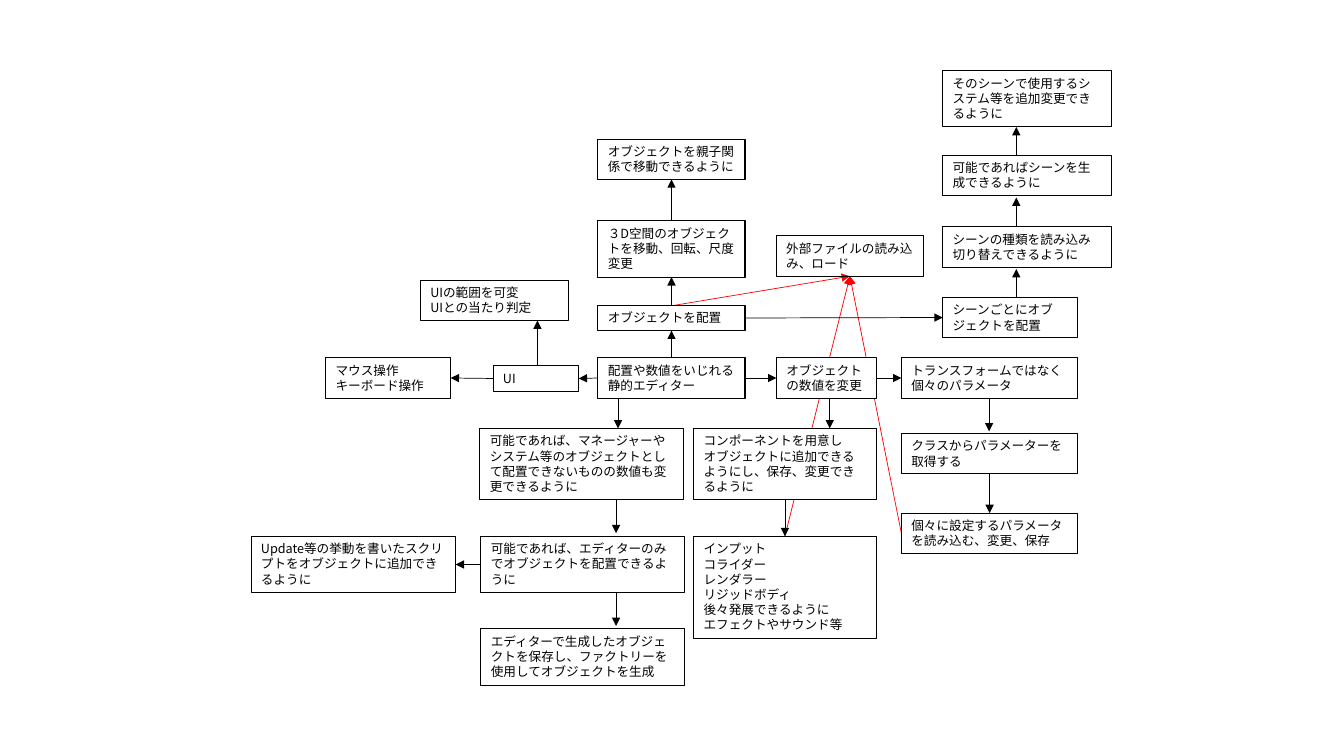
"""Build a slide mapping the feature plan of a static object editor."""
import pptx
import pptx.util
import pptx.dml.color
import pptx.enum.dml
import pptx.enum.shapes
import pptx.enum.text
import pptx.oxml
import pptx.oxml.ns

Inches = pptx.util.Inches
FONT = "Noto Sans CJK JP"
COLORS = {"ink": "000000", "paper": "FFFFFF", "load": "FF0000"}
TOP, LEFT, BOTTOM, RIGHT = range(4)
LINE_HEIGHT = {1: 0.25, 2: 0.4, 3: 0.56, 4: 0.71, 6: 1.01}

# name: (left, top, width, lines, text)
BOXES = {
    "editor": (5.93, 3.55, 1.46, 2, "配置や数値をいじれる\v静的エディター"),
    "place": (5.93, 3.03, 1.46, 1, "オブジェクトを配置"),
    "values": (7.7, 3.55, 0.99, 2, "オブジェクトの数値を変更"),
    "ui": (4.89, 3.63, 0.85, 1, "UI"),
    "move": (5.93, 2.19, 1.46, 3, "３D空間のオブジェクトを移動、回転、尺度変更"),
    "own values": (8.94, 3.55, 1.75, 2, "トランスフォームではなく個々のパラメータ"),
    "class values": (8.94, 4.3, 1.75, 2, "クラスからパラメーターを取得する"),
    "set values": (8.94, 5.09, 1.75, 2, "個々に設定するパラメータを読み込む、変更、保存"),
    "family": (5.93, 1.38, 1.46, 2, "オブジェクトを親子関係で移動できるように"),
    "components": (6.88, 4.25, 1.81, 4, "コンポーネントを用意し\nオブジェクトに追加できるようにし、保存、変更できるように"),
    "kinds": (6.88, 5.32, 1.81, 6, "インプット\nコライダー\nレンダラー\nリジッドボディ\n後々発展できるように\nエフェクトやサウンド等"),
    "file": (7.7, 2.34, 1.46, 2, "外部ファイルの読み込み、ロード"),
    "managers": (4.76, 4.25, 2.02, 4, "可能であれば、マネージャーやシステム等のオブジェクトとして配置できないものの数値も変更できるように"),
    "scripts": (2.49, 5.32, 2.03, 3, "Update等の挙動を書いたスクリプトをオブジェクトに追加できるように"),
    "editor only": (4.77, 5.32, 2.02, 3, "可能であれば、エディターのみでオブジェクトを配置できるように"),
    "factory": (4.77, 6.24, 2.02, 3, "エディターで生成したオブジェクトを保存し、ファクトリーを使用してオブジェクトを生成"),
    "input": (3.23, 3.55, 1.24, 2, "マウス操作\nキーボード操作"),
    "ui area": (4.17, 2.78, 1.47, 2, "UIの範囲を可変\nUIとの当たり判定"),
    "scene objects": (9.35, 2.95, 1.34, 2, "シーンごとにオブジェクトを配置"),
    "scene switch": (9.35, 2.25, 1.67, 2, "シーンの種類を読み込み切り替えできるように"),
    "scene create": (9.35, 1.54, 1.67, 2, "可能であればシーンを生成できるように"),
    "scene systems": (9.35, 0.7, 1.67, 3, "そのシーンで使用するシステム等を追加変更できるように"),
}
UNFILLED = {"editor", "family", "file"}

CENTRED_ARROWS = [
    ("editor", TOP, "place", BOTTOM),
    ("place", TOP, "move", BOTTOM),
    ("move", TOP, "family", BOTTOM),
    ("editor", RIGHT, "values", LEFT),
    ("values", RIGHT, "own values", LEFT),
    ("class values", BOTTOM, "set values", TOP),
    ("components", BOTTOM, "kinds", TOP),
    ("editor", LEFT, "ui", RIGHT),
    ("ui", LEFT, "input", RIGHT),
    ("editor only", LEFT, "scripts", RIGHT),
    ("place", RIGHT, "scene objects", LEFT),
]
# (start, end, x, gap before the end box)
UPRIGHT_ARROWS = [
    ("values", "components", 8.23, 0),
    ("own values", "class values", 9.81, 0.02),
    ("editor", "managers", 6.13, 0),
    ("managers", "editor only", 6.11, 0.03),
    ("editor only", "factory", 6.11, 0.03),
    ("ui", "ui area", 5.33, 0),
    ("scene objects", "scene switch", 10.08, 0.02),
    ("scene switch", "scene create", 10.08, 0.02),
    ("scene create", "scene systems", 10.08, 0),
]
LOAD_ARROWS = [("place", LEFT), ("kinds", TOP), ("set values", LEFT)]


def rgb(name):
    return pptx.dml.color.RGBColor.from_string(COLORS[name])


def add_box(page, name):
    left, top, width, lines, text = BOXES[name]
    box = page.shapes.add_shape(
        pptx.enum.shapes.MSO_SHAPE.RECTANGLE,
        Inches(left), Inches(top), Inches(width), Inches(LINE_HEIGHT[lines]))
    box.shadow.inherit = False
    if name in UNFILLED:
        box.fill.background()
    else:
        box.fill.solid()
        box.fill.fore_color.rgb = rgb("paper")
    box.line.color.rgb = rgb("ink")
    box.line.width = pptx.util.Pt(0.75)
    frame = box.text_frame
    frame.text = text
    frame.word_wrap = True
    frame.auto_size = pptx.enum.text.MSO_AUTO_SIZE.SHAPE_TO_FIT_TEXT
    frame.vertical_anchor = pptx.enum.text.MSO_ANCHOR.TOP
    for para in frame.paragraphs:
        para.alignment = pptx.enum.text.PP_ALIGN.LEFT
        for span in para.runs:
            span.font.size = pptx.util.Pt(9)
            span.font.name = FONT
            span.font.color.rgb = rgb("ink")
            east_asian = pptx.oxml.parse_xml(
                f'<a:ea {pptx.oxml.ns.nsdecls("a")} typeface="{FONT}"/>')
            span.font._element.find(pptx.oxml.ns.qn("a:latin")).addnext(east_asian)
    return box


def add_arrow(page, color, start=(0, 0), end=(0, 0)):
    arrow = page.shapes.add_connector(
        pptx.enum.shapes.MSO_CONNECTOR.STRAIGHT, *start, *end)
    arrow.line.color.rgb = rgb(color)
    arrow.line.width = pptx.util.Pt(0.5)
    namespace = pptx.oxml.ns.nsdecls("a")
    arrow.line._get_or_add_ln().append(
        pptx.oxml.parse_xml(f'<a:tailEnd {namespace} type="triangle"/>'))
    arrow._element.spPr.append(pptx.oxml.parse_xml(f"<a:effectLst {namespace}/>"))
    return arrow


def add_joined_arrow(page, color, start, start_side, end, end_side):
    arrow = add_arrow(page, color)
    arrow.begin_connect(start, start_side)
    arrow.end_connect(end, end_side)
    return arrow


def add_upright_arrow(page, start, end, x, gap):
    if end.top > start.top:
        begin_y, end_y = start.top + start.height, end.top - Inches(gap)
    else:
        begin_y, end_y = start.top, end.top + end.height + Inches(gap)
    add_arrow(page, "ink", (Inches(x), begin_y), (Inches(x), end_y))


def main():
    deck = pptx.Presentation()
    deck.slide_width, deck.slide_height = Inches(13.33), Inches(7.5)
    page = deck.slides.add_slide(deck.slide_layouts[6])
    boxes = {name: add_box(page, name) for name in BOXES}
    for start, start_side, end, end_side in CENTRED_ARROWS:
        add_joined_arrow(page, "ink", boxes[start], start_side, boxes[end], end_side)
    for start, end, x, gap in UPRIGHT_ARROWS:
        add_upright_arrow(page, boxes[start], boxes[end], x, gap)
    for start, side in LOAD_ARROWS:
        arrow = add_joined_arrow(page, "load", boxes[start], side, boxes["file"], BOTTOM)
        boxes["editor"]._element.addprevious(arrow._element)
    deck.save("out.pptx")


if __name__ == "__main__":
    main()
